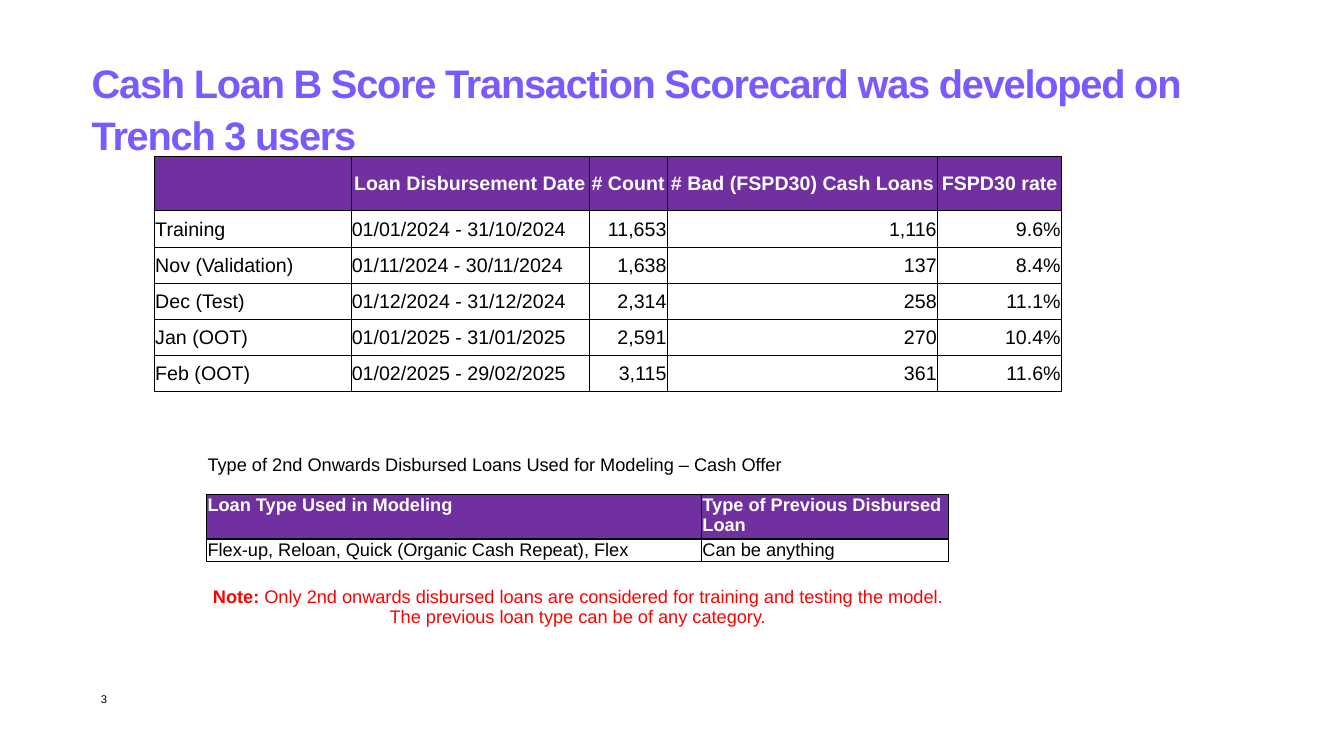
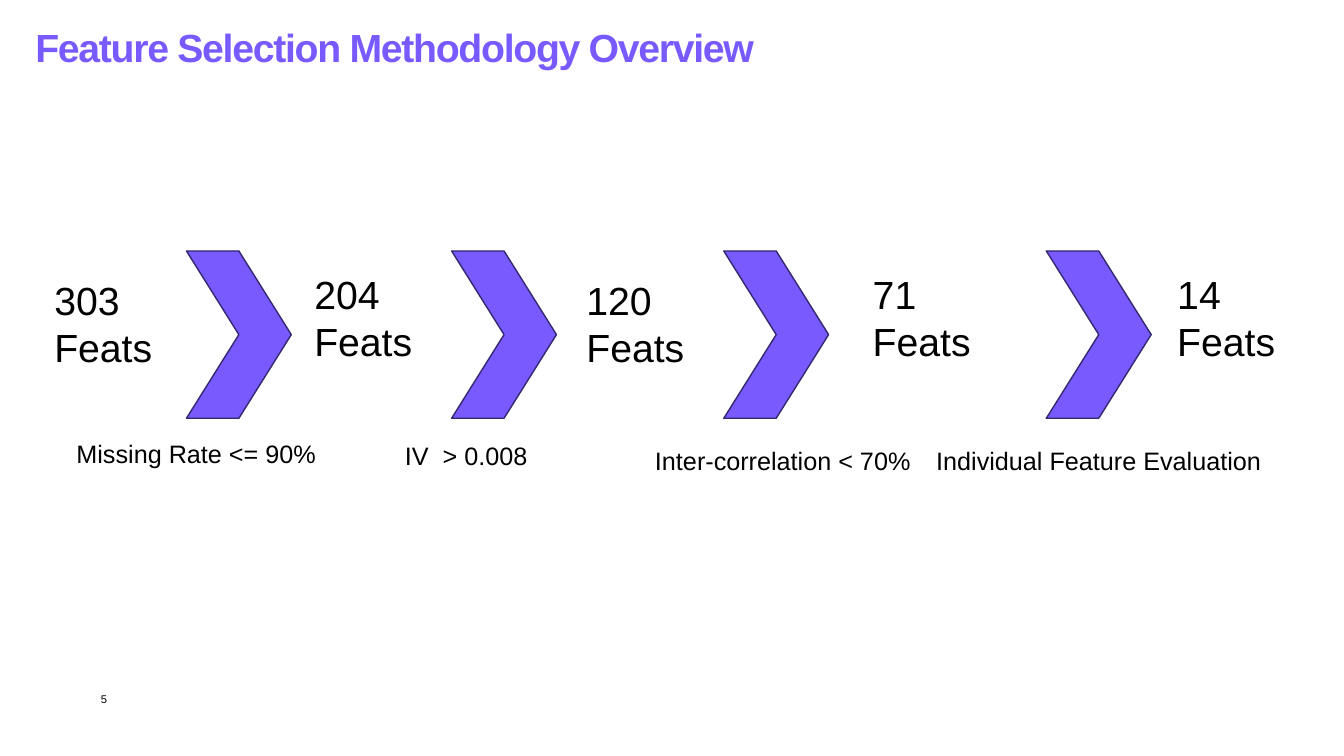
from lxml import etree
from pptx import Presentation
from pptx.dml.color import RGBColor
from pptx.enum.shapes import MSO_SHAPE
from pptx.enum.text import MSO_ANCHOR, MSO_AUTO_SIZE, PP_ALIGN
from pptx.oxml.ns import qn
from pptx.util import Pt

LEFT, CENTER, RIGHT = PP_ALIGN.LEFT, PP_ALIGN.CENTER, PP_ALIGN.RIGHT
TOP, MIDDLE = MSO_ANCHOR.TOP, MSO_ANCHOR.MIDDLE
NO_AUTOFIT = MSO_AUTO_SIZE.NONE
CHEVRON = MSO_SHAPE.CHEVRON

BLACK = RGBColor(0x00, 0x00, 0x00)
WHITE = RGBColor(0xFF, 0xFF, 0xFF)
RED = RGBColor(0xFF, 0x00, 0x00)
VIOLET = RGBColor(0x78, 0x5A, 0xFF)
DARK_VIOLET = RGBColor(0x35, 0x27, 0x70)
PURPLE = RGBColor(0x70, 0x30, 0xA0)

FONT = "Arial"
PLAIN_TABLE = "{2D5ABB26-0587-4C30-8999-92F81FD0307C}"

SAMPLES = [
    ["", "Loan Disbursement Date", "# Count", "# Bad (FSPD30) Cash Loans", "FSPD30 rate"],
    ["Training", "01/01/2024 - 31/10/2024", "11,653", "1,116", "9.6%"],
    ["Nov (Validation)", "01/11/2024 - 30/11/2024", "1,638", "137", "8.4%"],
    ["Dec (Test)", "01/12/2024 - 31/12/2024", "2,314", "258", "11.1%"],
    ["Jan (OOT)", "01/01/2025 - 31/01/2025", "2,591", "270", "10.4%"],
    ["Feb (OOT)", "01/02/2025 - 29/02/2025", "3,115", "361", "11.6%"],
]
LOAN_TYPES = [
    ["Type of 2nd Onwards Disbursed Loans Used for Modeling – Cash Offer", ""],
    ["Loan Type Used in Modeling", "Type of Previous Disbursed Loan"],
    ["Flex-up, Reloan, Quick (Organic Cash Repeat), Flex", "Can be anything"],
    ["", ""],
    ["", ""],
]
NOTE = ("Note:", " Only 2nd onwards disbursed loans are considered for training and "
        "testing the model. The previous loan type can be of any category.")

FEATURE_COUNTS = [
    ("303", 31.7, 193.7),
    ("204", 217.4, 189.4),
    ("120", 411.8, 193.7),
    ("71", 616.3, 189.4),
    ("14", 833.8, 189.4),
]
CHEVRON_LEFTS = [133.2, 322.6, 517, 747.4]
FILTERS = [
    ("Missing Rate <= 90%", 47.5, 309.6, 195.8, LEFT),
    ("IV  > 0.008", 282.2, 311, 209.5, LEFT),
    ("Inter-correlation < 70%", 460.8, 314.6, 233.3, LEFT),
    ("Individual Feature Evaluation", 658.8, 314.6, 252, CENTER),
]


def format_run(r, size, color=BLACK, bold=False):
    r.font.name = FONT
    r.font.size = Pt(size)
    r.font.bold = bold
    r.font.color.rgb = color


def format_text(tf, size, color=BLACK, bold=False, align=LEFT):
    for p in tf.paragraphs:
        p.alignment = align
        for r in p.runs:
            format_run(r, size, color, bold)


def set_margins(tf, horizontal, vertical):
    tf.margin_left = tf.margin_right = Pt(horizontal)
    tf.margin_top = tf.margin_bottom = Pt(vertical)


def add_text(s, text, x, y, w, h, size, align=LEFT, margins=(7.2, 3.6)):
    tf = s.shapes.add_textbox(Pt(x), Pt(y), Pt(w), Pt(h)).text_frame
    tf.word_wrap = True
    set_margins(tf, *margins)
    tf.text = text
    format_text(tf, size, align=align)


def add_title_slide(prs, title, number, x, y, w, h, size):
    s = prs.slides.add_slide(prs.slide_layouts[5])
    sp = s.shapes.title
    sp.left, sp.top, sp.width, sp.height = Pt(x), Pt(y), Pt(w), Pt(h)
    tf = sp.text_frame
    tf.text = title
    tf.word_wrap = True
    tf.auto_size = NO_AUTOFIT
    tf.vertical_anchor = TOP
    set_margins(tf, 0, 0)
    format_text(tf, size, VIOLET, True)
    p = tf.paragraphs[0]
    p.line_spacing = 1.1
    p.runs[0].font._element.set("spc", "-90")
    add_text(s, number, 72, 494.6, 210, 18, 8, margins=(0, 0))
    return s


def add_borders(cell, width):
    tc_pr = cell._tc.get_or_add_tcPr()
    for i, side in enumerate(("a:lnL", "a:lnR", "a:lnT", "a:lnB")):
        ln = etree.Element(qn(side), w=str(Pt(width)))
        fill = etree.SubElement(ln, qn("a:solidFill"))
        etree.SubElement(fill, qn("a:srgbClr"), val=str(BLACK))
        tc_pr.insert(i, ln)


def add_table(s, rows, x, y, widths, heights, size, header, bordered, border_width):
    shape = s.shapes.add_table(len(rows), len(widths), Pt(x), Pt(y),
                               Pt(sum(widths)), Pt(sum(heights)))
    table = shape.table
    table.first_row = table.horz_banding = False
    table._tbl.tblPr.find(qn("a:tableStyleId")).text = PLAIN_TABLE
    for column, width in zip(table.columns, widths):
        column.width = Pt(width)
    for i, (row, height) in enumerate(zip(rows, heights)):
        table.rows[i].height = Pt(height)
        is_header = i == header
        for j, text in enumerate(row):
            cell = table.cell(i, j)
            cell.margin_left = cell.margin_right = cell.margin_top = Pt(0.7)
            cell.margin_bottom = 0
            tf = cell.text_frame
            tf.text = text
            format_text(tf, size, WHITE if is_header else BLACK, is_header)
            if not text:
                etree.SubElement(tf.paragraphs[0]._p, qn("a:endParaRPr"), sz=str(size * 100))
            if is_header:
                cell.fill.solid()
                cell.fill.fore_color.rgb = PURPLE
            else:
                cell.fill.background()
            if i in bordered:
                add_borders(cell, border_width)
    return table


def add_samples_table(s):
    table = add_table(s, SAMPLES, 110.2, 111.6, [140.4, 170, 56.2, 193, 88.6],
                      [39] + [25.8] * 5, 14, 0, range(6), 0.5)
    for i in range(len(SAMPLES)):
        for j in range(len(SAMPLES[0])):
            cell = table.cell(i, j)
            cell.vertical_anchor = MIDDLE
            align = CENTER if i == 0 else RIGHT if j > 1 else LEFT
            cell.text_frame.paragraphs[0].alignment = align


def add_loan_types_table(s):
    table = add_table(s, LOAN_TYPES, 147.6, 324, [353.5, 176.4],
                      [29, 30.4, 15.2, 15.2, 30.4], 13, 1, (1, 2), 1)
    for i in (0, 4):
        table.cell(i, 0).merge(table.cell(i, 1))
    note = table.cell(4, 0)
    note.vertical_anchor = MIDDLE
    p = note.text_frame.paragraphs[0]
    p.alignment = CENTER
    for text, bold in zip(NOTE, (True, False)):
        r = p.add_run()
        r.text = text
        format_run(r, 13, RED, bold)


def add_chevron(s, x):
    sp = s.shapes.add_shape(CHEVRON, Pt(x), Pt(179.3), Pt(74.9), Pt(119.5))
    sp.shadow.inherit = False
    sp.fill.solid()
    sp.fill.fore_color.rgb = VIOLET
    sp.line.color.rgb = DARK_VIOLET
    sp.line.width = Pt(1)


def main():
    prs = Presentation()
    prs.slide_width, prs.slide_height = Pt(960), Pt(540)

    s = add_title_slide(
        prs, "Cash Loan B Score Transaction Scorecard was developed on Trench 3 users",
        "3", 65.5, 38.2, 816.5, 38.2, 28.4)
    add_samples_table(s)
    add_loan_types_table(s)

    s = add_title_slide(prs, "Feature Selection Methodology Overview",
                        "5", 25.2, 13, 898.6, 52, 28)
    for count, x, y in FEATURE_COUNTS:
        add_text(s, f"{count}\nFeats", x, y, 114.5, 75, 28)
    for x in CHEVRON_LEFTS:
        add_chevron(s, x)
    for text, x, y, w, align in FILTERS:
        add_text(s, text, x, y, w, 29, 18, align)

    prs.save("out.pptx")


if __name__ == "__main__":
    main()
